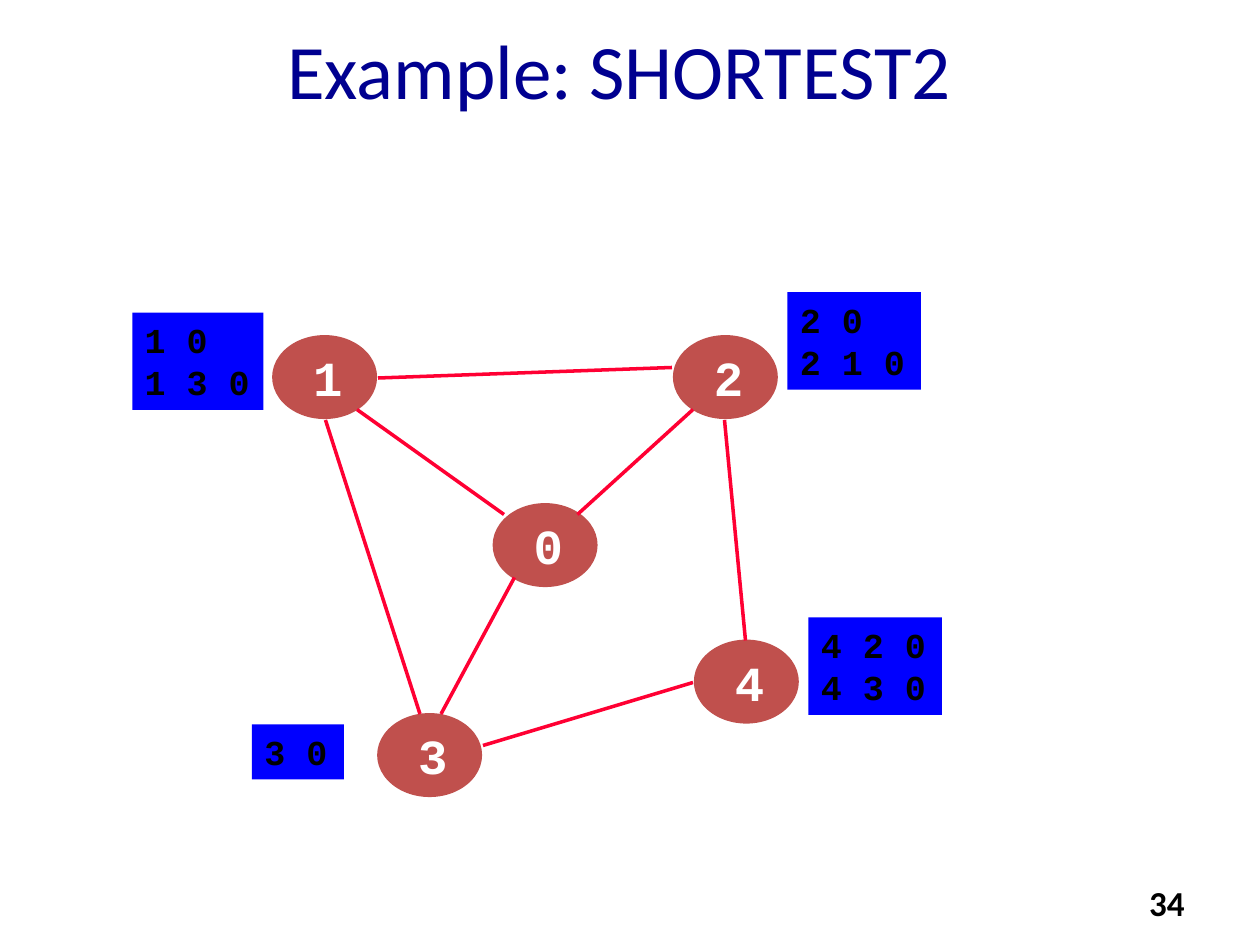
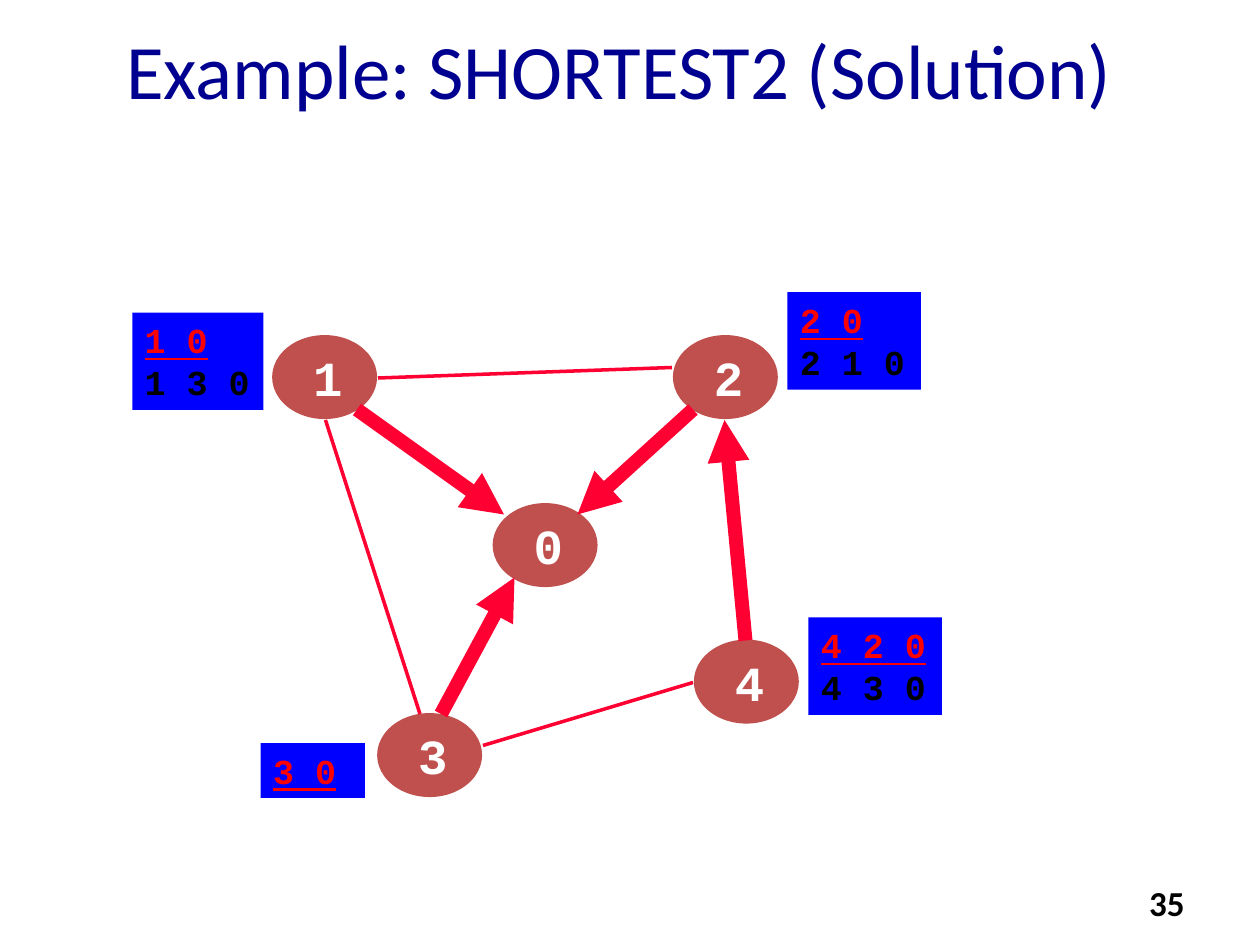
from lxml.etree import SubElement
from pptx import Presentation
from pptx.dml.color import RGBColor
from pptx.enum.shapes import MSO_CONNECTOR, MSO_SHAPE
from pptx.enum.text import MSO_ANCHOR, PP_ALIGN
from pptx.oxml.ns import qn
from pptx.util import Pt

NAVY = RGBColor(0x00, 0x00, 0x90)
BRICK = RGBColor(0xC0, 0x50, 0x4D)
CRIMSON = RGBColor(0xFF, 0x00, 0x33)
RED = RGBColor(0xFF, 0x00, 0x00)
BLUE = RGBColor(0x00, 0x00, 0xFF)
BLACK = RGBColor(0x00, 0x00, 0x00)
WHITE = RGBColor(0xFF, 0xFF, 0xFF)
SANS, MONO = "Calibri", "Courier New"

TITLE_BOX = (12, 24, 684, 30)
NUMBER_BOX = (516, 500.4, 168, 28.8)
NODE_SIZE = (59, 47)

# Node name: left, top
NODES = {"1": (156, 192), "2": (385, 192), "4": (397, 366),
         "3": (216, 408), "0": (282, 288)}

# Start, end, whether the edge lies on a chosen shortest path
EDGES = [
    ((204, 234), (288, 294), True),
    ((216, 216), (384, 210), False),
    ((396, 234), (330, 294), True),
    ((426, 366), (414, 240), True),
    ((240, 408), (186, 240), False),
    ((396, 390), (276, 426), False),
    ((252, 408), (294, 330), True),
]

# Box and the permitted paths of a node, the preferred path first
PATHS = [
    ((450, 167, 76.3, 55.7), ["2 0", "2 1 0"]),
    ((75.6, 178.6, 75, 55.7), ["1 0", "1 3 0"]),
    ((462, 352.8, 76.3, 55.7), ["4 2 0", "4 3 0"]),
]

SLIDES = [
    {"title": "Example: SHORTEST2", "number": "34", "solved": False,
     "node_3_box": (144, 414, 52.5, 31.4)},
    {"title": "Example: SHORTEST2 (Solution)", "number": "35", "solved": True,
     "node_3_box": (149, 424.6, 59.5, 31.4)},
]


def points(values):
    return [Pt(value) for value in values]


def write_text(shape, lines, *, font, size, color, bold=False, align=PP_ALIGN.LEFT,
               anchor=MSO_ANCHOR.TOP, wrap=True, first_color=None):
    """Fill a shape with lines; first_color also underlines the first line."""
    frame = shape.text_frame
    frame.text = "\n".join(lines)
    frame.word_wrap = wrap
    frame.vertical_anchor = anchor
    for index, paragraph in enumerate(frame.paragraphs):
        highlighted = first_color is not None and index == 0
        paragraph.alignment = align
        text_font = paragraph.runs[0].font
        text_font.name, text_font.size, text_font.bold = font, Pt(size), bold
        text_font.color.rgb = first_color if highlighted else color
        if highlighted:
            text_font.underline = True


def add_filled_shape(slide, kind, box, color):
    shape = slide.shapes.add_shape(kind, *points(box))
    shape.shadow.inherit = False
    shape.fill.solid()
    shape.fill.fore_color.rgb = color
    shape.line.fill.background()
    return shape


def add_node(slide, name, position):
    node = add_filled_shape(slide, MSO_SHAPE.OVAL, (*position, *NODE_SIZE), BRICK)
    node.line.color.rgb = BRICK
    node.line.width = Pt(1)
    frame = node.text_frame
    frame.margin_left, frame.margin_right = Pt(3.6), 0
    frame.margin_top = frame.margin_bottom = 0
    write_text(node, [name], font=MONO, size=28, color=WHITE, bold=True,
               align=PP_ALIGN.CENTER, anchor=MSO_ANCHOR.MIDDLE, wrap=False)


def add_edge(slide, start, end, chosen):
    edge = slide.shapes.add_connector(MSO_CONNECTOR.STRAIGHT, *points(start + end))
    edge.line.color.rgb = CRIMSON
    edge.line.width = Pt(8 if chosen else 2)
    if chosen:
        SubElement(edge.line._get_or_add_ln(), qn("a:tailEnd"), type="triangle")
    SubElement(edge._element.spPr, qn("a:effectLst"))


def add_path_list(slide, box, paths, solved):
    label = add_filled_shape(slide, MSO_SHAPE.RECTANGLE, box, BLUE)
    write_text(label, paths, font=MONO, size=20, color=BLACK, bold=True,
               wrap=False, first_color=RED if solved else None)


def build_slide(presentation, layout, content):
    slide = presentation.slides.add_slide(layout)
    solved = content["solved"]
    write_text(slide.shapes.title, [content["title"]], font=SANS, size=44, color=NAVY,
               align=PP_ALIGN.CENTER, anchor=MSO_ANCHOR.MIDDLE)
    number = slide.shapes.add_textbox(*points(NUMBER_BOX))
    write_text(number, [content["number"]], font=SANS, size=20, color=BLACK,
               bold=True, align=PP_ALIGN.RIGHT)
    for name, position in NODES.items():
        add_node(slide, name, position)
    for start, end, on_path in EDGES:
        add_edge(slide, start, end, solved and on_path)
    for box, paths in PATHS + [(content["node_3_box"], ["3 0"])]:
        add_path_list(slide, box, paths, solved)


def main():
    presentation = Presentation()
    presentation.slide_width, presentation.slide_height = Pt(720), Pt(540)
    layout = presentation.slide_layouts[5]
    title = layout.placeholders[0]
    title.left, title.top, title.width, title.height = points(TITLE_BOX)
    for content in SLIDES:
        build_slide(presentation, layout, content)
    presentation.save("out.pptx")


if __name__ == "__main__":
    main()
